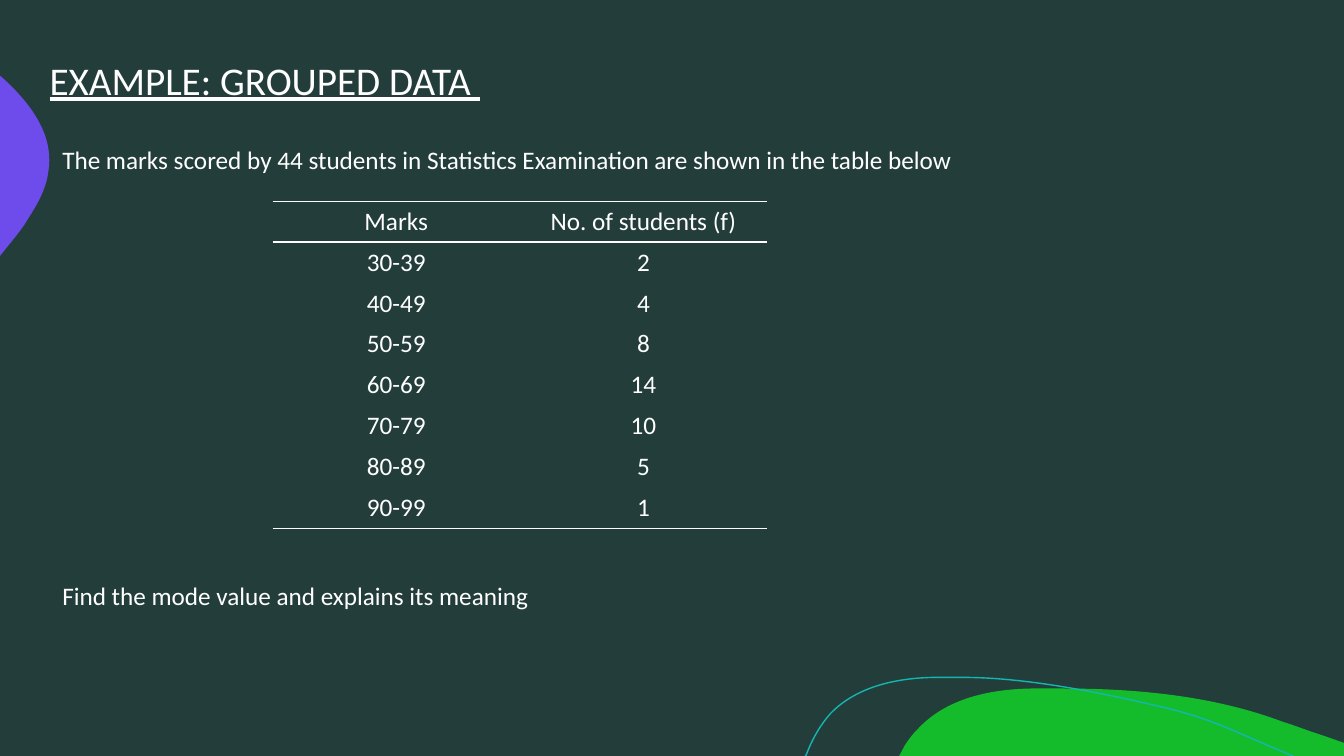
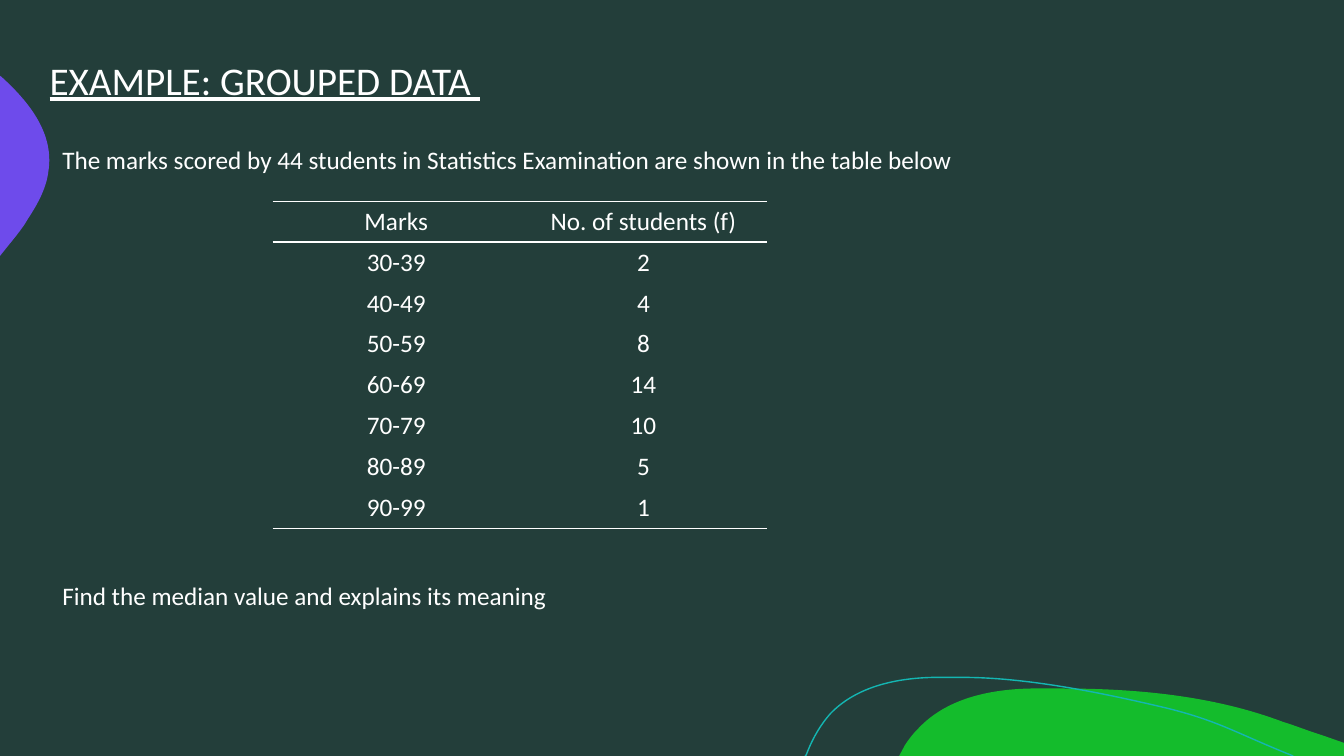
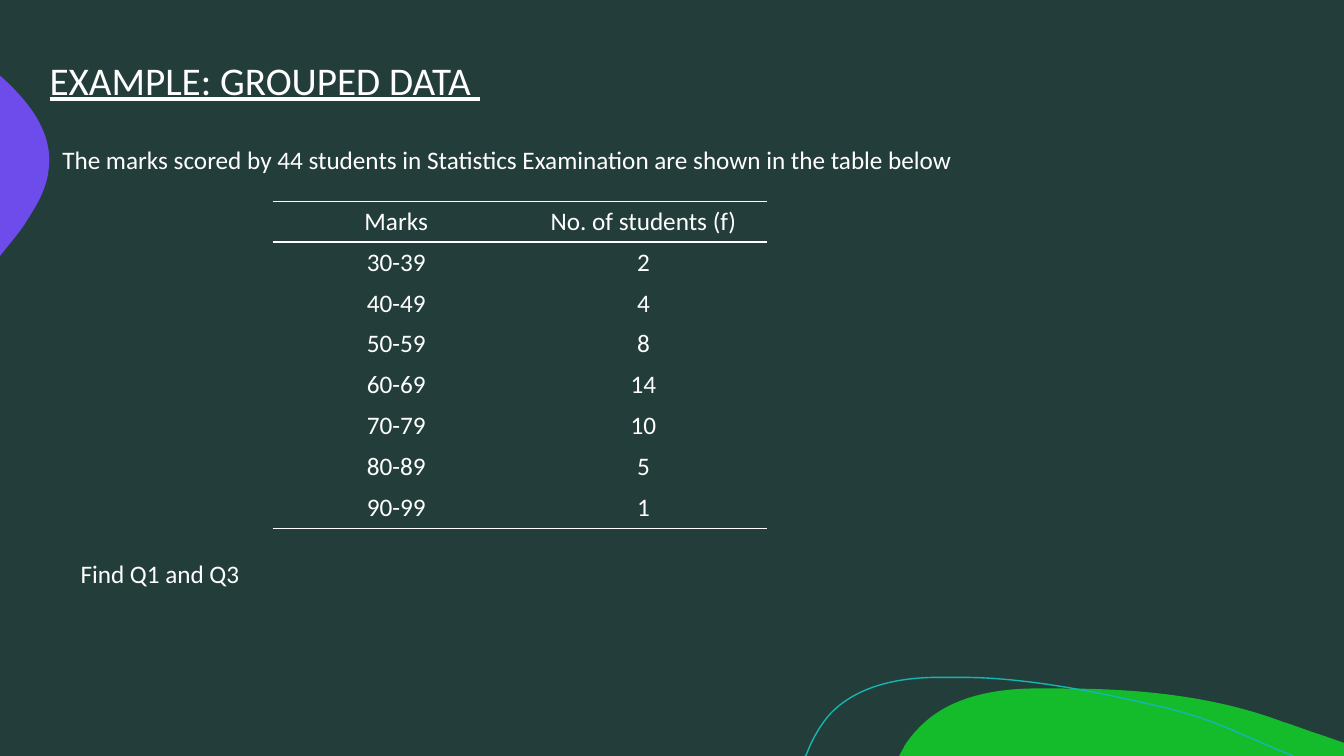
from lxml.etree import SubElement
from pptx import Presentation
from pptx.dml.color import RGBColor
from pptx.enum.text import MSO_ANCHOR, PP_ALIGN
from pptx.oxml.ns import qn
from pptx.util import Cm, Pt

COLORS = {
    "background": "233E3A",
    "text": "FFFFFF",
    "green": "14BC2C",
    "purple": "6E4BEB",
    "teal": "14B6B2",
}
FONT = "Calibri"
NO_GRID_STYLE = "{2D5ABB26-0587-4C30-8999-92F81FD0307C}"

GREEN_HILL = [
    [(26.77, 17.35)],
    [(28.65, 17.35), (30.58, 17.53), (32.33, 18.19)],
    [(32.66, 18.29), (32.97, 18.42), (33.3, 18.52)],
    [(33.87, 18.72)],
    [(33.87, 19.05)],
    [(22.66, 19.05)],
    [(22.81, 18.77)],
    [(22.91, 18.62), (23.01, 18.49), (23.14, 18.36)],
    [(23.85, 17.6), (24.94, 17.37), (25.98, 17.35)],
    [(26.24, 17.35), (26.49, 17.35), (26.77, 17.35)],
]
PURPLE_BULGE = [
    [(0, 1.91)],
    [(0.03, 1.93)],
    [(0.76, 2.59), (1.37, 3.38), (1.22, 4.32)],
    [(1.17, 4.75), (0.94, 5.16), (0.69, 5.54)],
    [(0.61, 5.69), (0.43, 5.92), (0.2, 6.2)],
    [(0, 6.45)],
]
TEAL_CURVE = [
    [(20.29, 19.05)],
    [(20.32, 19.02)],
    [(20.47, 18.62), (20.68, 18.26), (20.93, 17.98)],
    [(21.59, 17.3), (22.58, 17.09), (23.52, 17.07)],
    [(24.26, 17.07)],
    [(25.96, 17.07), (27.94, 17.5), (29.34, 17.83)],
    [(30.71, 18.16), (31.14, 18.47), (32.59, 19.05)],
]

MARKS = [
    ("Marks", "No. of students (f)"),
    ("30-39", "2"),
    ("40-49", "4"),
    ("50-59", "8"),
    ("60-69", "14"),
    ("70-79", "10"),
    ("80-89", "5"),
    ("90-99", "1"),
]
QUESTIONS = [
    ("Find the mode value and explains its meaning", 1.32, 14.5),
    ("Find the median value and explains its meaning", 1.32, 14.5),
    ("Find Q1 and Q3", 1.78, 13.94),
]


def rgb(name):
    return RGBColor.from_string(COLORS[name])


class Deck:
    def __init__(self):
        self.prs = Presentation()
        self.prs.slide_width, self.prs.slide_height = Cm(33.87), Cm(19.05)
        fill = self.prs.slide_master.background.fill
        fill.solid()
        fill.fore_color.rgb = rgb("background")
        self.s = None

    def slide(self, title):
        self.s = self.prs.slides.add_slide(self.prs.slide_layouts[6])
        self.outline(GREEN_HILL, fill="green")
        self.outline(PURPLE_BULGE, fill="purple")
        self.outline(TEAL_CURVE, line="teal")
        self.text(title, 1, 1.29, 31.85, 2.24, size=28, underline=True)

    def outline(self, segments, fill=None, line=None):
        ends = [(Cm(x), Cm(y)) for x, y in (segment[-1] for segment in segments)]
        builder = self.s.shapes.build_freeform(*ends[0])
        builder.add_line_segments(ends[1:], close=fill is not None)
        sp = builder.convert_to_shape()
        self.bend(sp, segments[1:])
        sp.shadow.inherit = False
        if fill:
            sp.fill.solid()
            sp.fill.fore_color.rgb = rgb(fill)
        else:
            sp.fill.background()
        if line:
            sp.line.color.rgb = rgb(line)
            sp.line.width = Pt(1)
        else:
            sp.line.fill.background()

    def bend(self, sp, segments):
        steps = list(sp.element.iter(qn("a:lnTo")))
        for step, segment in zip(steps, segments):
            if len(segment) == 1:
                continue
            curve = SubElement(step.getparent(), qn("a:cubicBezTo"))
            for x, y in segment:
                SubElement(curve, qn("a:pt"), x=str(Cm(x) - sp.left), y=str(Cm(y) - sp.top))
            step.getparent().replace(step, curve)

    def run(self, p, text, size=18, underline=None):
        r = p.add_run()
        r.text = text
        r.font.name = FONT
        r.font.size = Pt(size)
        r.font.underline = underline
        r.font.color.rgb = rgb("text")

    def text(self, text, left, top, width, height, **style):
        sp = self.s.shapes.add_textbox(Cm(left), Cm(top), Cm(width), Cm(height))
        tf = sp.text_frame
        tf.word_wrap = True
        self.run(tf.paragraphs[0], text, **style)

    def rule(self, cell, ruled):
        tcPr = cell._tc.get_or_add_tcPr()
        for position, side in enumerate("LRTB"):
            ln = SubElement(tcPr, qn(f"a:ln{side}"), w=str(Pt(1)))
            if side in ruled:
                solid = SubElement(ln, qn("a:solidFill"))
                SubElement(solid, qn("a:srgbClr"), val=COLORS["text"])
            else:
                SubElement(ln, qn("a:noFill"))
            tcPr.insert(position, ln)

    def table(self, rows, left, top, width, height):
        frame = self.s.shapes.add_table(
            len(rows), len(rows[0]), Cm(left), Cm(top), Cm(width), Cm(height))
        frame.element.find(".//" + qn("a:tableStyleId")).text = NO_GRID_STYLE
        table = frame.table
        table.first_row = table.horz_banding = False
        ruled = {0: "TB", 1: "T", len(rows) - 1: "B"}
        for i, row in enumerate(rows):
            for j, value in enumerate(row):
                cell = table.cell(i, j)
                cell.fill.background()
                cell.vertical_anchor = MSO_ANCHOR.TOP
                p = cell.text_frame.paragraphs[0]
                p.alignment = PP_ALIGN.CENTER
                self.run(p, value)
                self.rule(cell, ruled.get(i, ""))


def main():
    deck = Deck()
    for question, left, top in QUESTIONS:
        deck.slide("EXAMPLE: GROUPED DATA ")
        deck.text(
            "The marks scored by 44 students in Statistics Examination "
            "are shown in the table below", 1.32, 3.5, 26.16, 1.03)
        deck.text(question, left, top, 22.66, 1.03)
        deck.table(MARKS, 6.87, 5.07, 12.46, 8.24)
    deck.prs.save("out.pptx")


if __name__ == "__main__":
    main()
